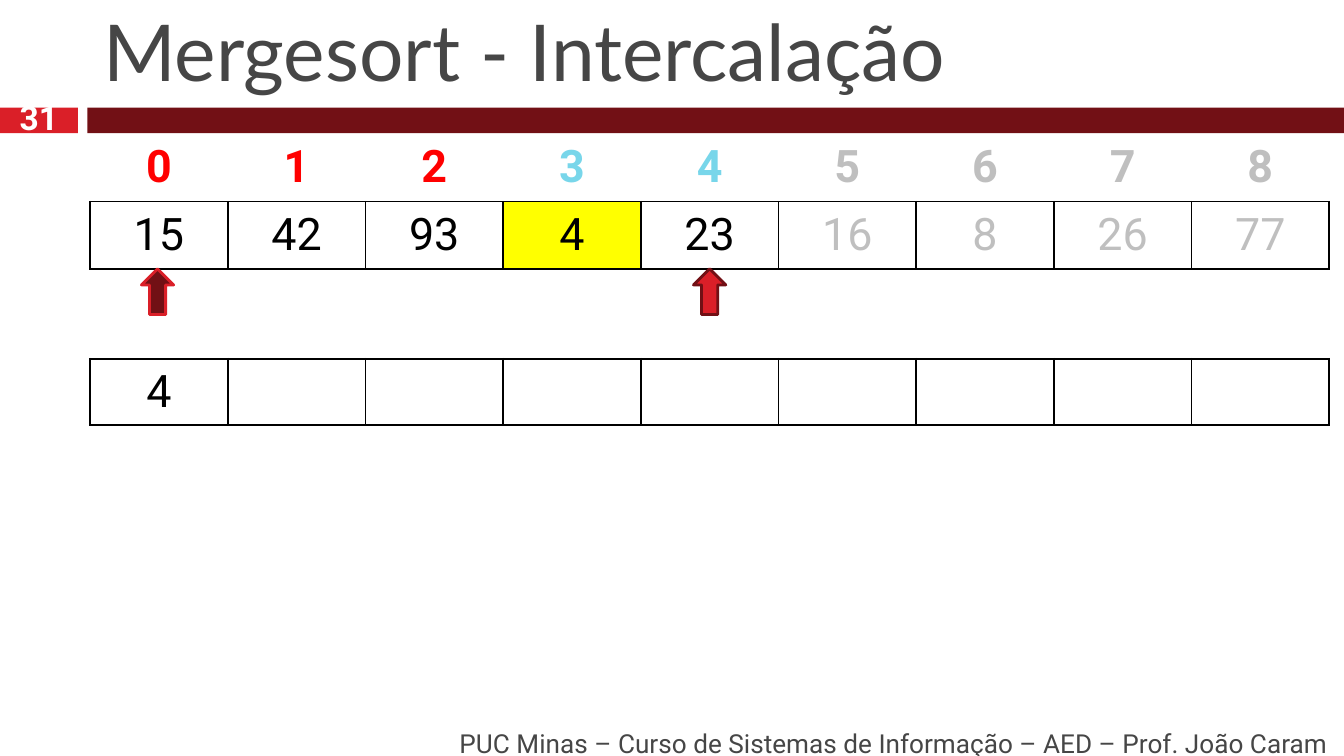
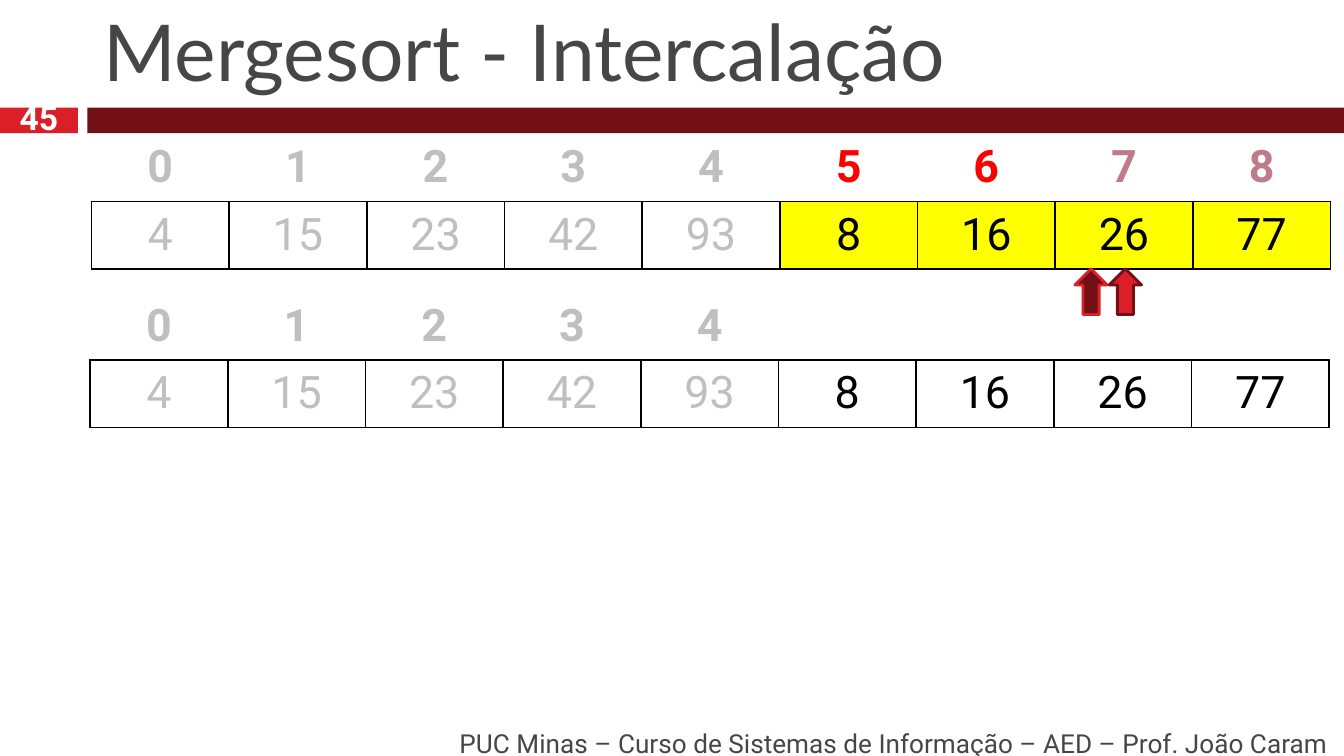
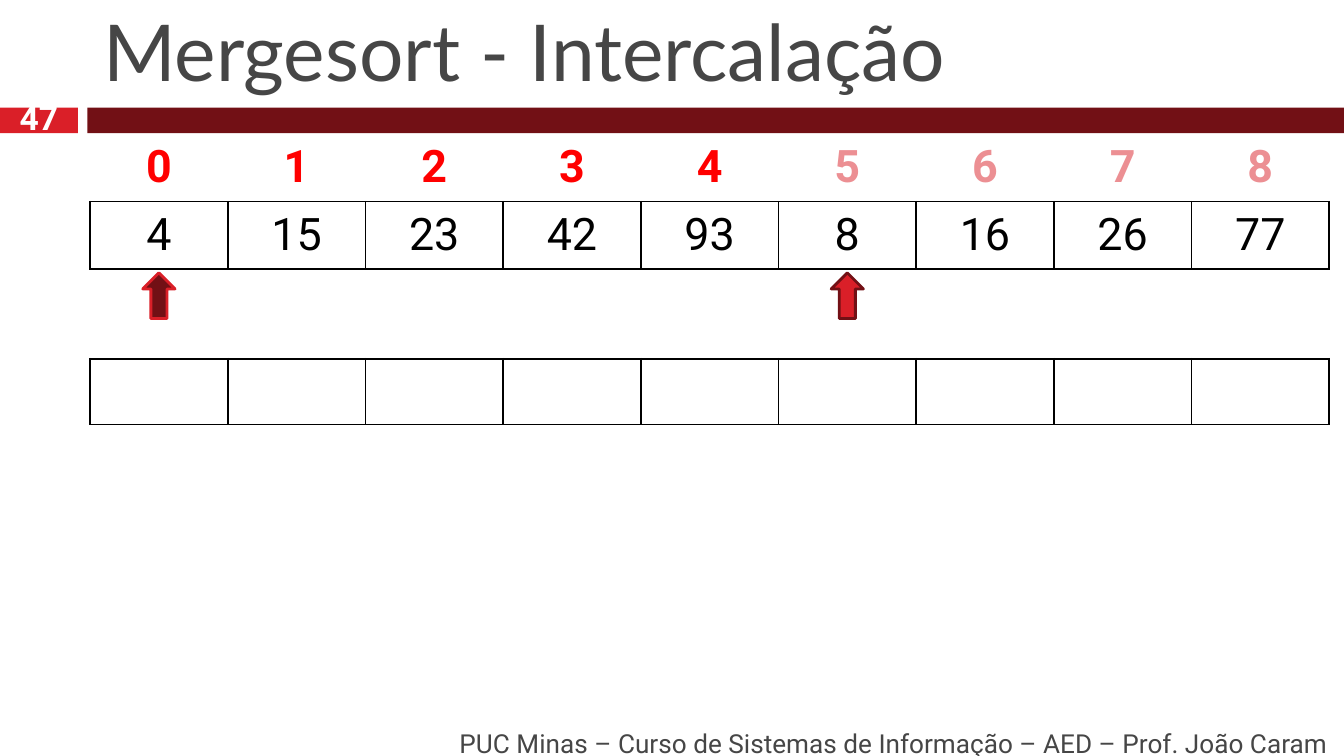
import pptx
import pptx.util
import pptx.dml.color
import pptx.enum.shapes
import pptx.enum.text
import pptx.oxml

RGBColor = pptx.dml.color.RGBColor
Inches = pptx.util.Inches
Pt = pptx.util.Pt
ALIGN = pptx.enum.text.PP_ALIGN
ANCHOR = pptx.enum.text.MSO_ANCHOR
SHAPE = pptx.enum.shapes.MSO_SHAPE

BLACK = RGBColor(0x00, 0x00, 0x00)
WHITE = RGBColor(0xFF, 0xFF, 0xFF)
DARK = RGBColor(0x46, 0x46, 0x46)
GREY = RGBColor(0xBF, 0xBF, 0xBF)
RED = RGBColor(0xFF, 0x00, 0x00)
CYAN = RGBColor(0x78, 0xD6, 0xEA)
MAUVE = RGBColor(0xC0, 0x7B, 0x8A)
PINK = RGBColor(0xEC, 0x8F, 0x93)
YELLOW = RGBColor(0xFF, 0xFF, 0x00)
CRIMSON = RGBColor(0xDA, 0x1F, 0x28)
MAROON = RGBColor(0x72, 0x10, 0x15)

NO_STYLE = "{2D5ABB26-0587-4C30-8999-92F81FD0307C}"
BORDER = (
    '<a:{} xmlns:a="http://schemas.openxmlformats.org/drawingml/2006/main" w="12700">'
    '<a:solidFill><a:srgbClr val="000000"/></a:solidFill></a:{}>'
)

N = 9
GRID_LEFT, GRID_WIDTH = 0.67, 9.22
COL = GRID_WIDTH / N
ROW = 0.49
UPPER, LOWER = 1, 2.18
ARROW_W, ARROW_H = 0.24, 0.34


def write(tf, text, size, color, align, font="Roboto", bold=False):
    p = tf.paragraphs[0]
    p.alignment = align
    r = p.add_run()
    r.text = text
    r.font.name = font
    r.font.size = Pt(size)
    r.font.bold = bold
    r.font.color.rgb = color


def add_array(s, left, top, indices, index_colors, values, value_colors, marked=()):
    frame = s.shapes.add_table(2, N, Inches(left), Inches(top), Inches(GRID_WIDTH), Inches(2 * ROW))
    table = frame.table
    table.first_row = table.horz_banding = False
    table._tbl.tblPr[0].text = NO_STYLE
    lines = [(indices, index_colors, ["lnB"]), (values, value_colors, ["lnL", "lnR", "lnT", "lnB"])]
    for row, (texts, colors, sides) in enumerate(lines):
        for col in range(N):
            cell = table.cell(row, col)
            for side in sides:
                cell._tc.get_or_add_tcPr().append(pptx.oxml.parse_xml(BORDER.format(side, side)))
            if row == 1 and col in marked:
                cell.fill.solid()
                cell.fill.fore_color.rgb = YELLOW
            else:
                cell.fill.background()
            if col < len(texts):
                write(cell.text_frame, str(texts[col]), 24, colors[col], ALIGN.CENTER, bold=row == 0)


steps = [
    {
        "number": "31",
        "upper": (GRID_LEFT, UPPER, range(N), [RED] * 3 + [CYAN] * 2 + [GREY] * 4,
                  [15, 42, 93, 4, 23, 16, 8, 26, 77], [BLACK] * 5 + [GREY] * 4, [3]),
        "lower": (GRID_LEFT, LOWER, [], [], [4], [BLACK]),
        "arrows": (0.49, 4.5),
        "arrow_top": 2,
    },
    {
        "number": "45",
        "upper": (GRID_LEFT + 0.01, UPPER, range(N), [GREY] * 5 + [RED] * 2 + [MAUVE] * 2,
                  [4, 15, 23, 42, 93, 8, 16, 26, 77], [GREY] * 5 + [BLACK] * 4, range(5, N)),
        "lower": (GRID_LEFT, LOWER, range(5), [GREY] * 5,
                  [4, 15, 23, 42, 93, 8, 16, 26, 77], [GREY] * 5 + [BLACK] * 4),
        "arrows": (7.27, 7.52),
        "arrow_top": 2,
    },
    {
        "number": "47",
        "upper": (GRID_LEFT, UPPER, range(N), [RED] * 5 + [PINK] * 4,
                  [4, 15, 23, 42, 93, 8, 16, 26, 77], [BLACK] * N),
        "lower": (GRID_LEFT, LOWER, [], [], [], []),
        "arrows": (0.5, 5.5),
        "arrow_top": 2.03,
    },
]

prs = pptx.Presentation()
prs.slide_width = Inches(10)
prs.slide_height = Inches(5.625)

for step in steps:
    s = prs.slides.add_slide(prs.slide_layouts[6])

    for left, width, color in [(0, 0.58, CRIMSON), (0.65, 9.35, MAROON)]:
        band = s.shapes.add_shape(SHAPE.RECTANGLE, Inches(left), Inches(0.8), Inches(width), Inches(0.19))
        band.shadow.inherit = False
        band.fill.solid()
        band.fill.fore_color.rgb = color
        band.line.fill.background()

    add_array(s, *step["lower"])

    labels = [
        ((GRID_LEFT, 0.13, GRID_WIDTH, 0.64), ANCHOR.BOTTOM,
         ("Mergesort - Intercalação", 42, DARK, ALIGN.LEFT, "Lato")),
        ((1.06, 5.38, 8.92, 0.3), ANCHOR.MIDDLE,
         ("PUC Minas – Curso de Sistemas de Informação – AED – Prof. João Caram", 14, DARK, ALIGN.RIGHT)),
        ((0, 0.77, 0.58, 0.2), ANCHOR.MIDDLE,
         (step["number"], 18, WHITE, ALIGN.CENTER, "Roboto", True)),
    ]
    for box, anchor, label in labels:
        tf = s.shapes.add_textbox(*map(Inches, box)).text_frame
        tf.word_wrap = True
        tf.vertical_anchor = anchor
        write(tf, *label)

    add_array(s, *step["upper"])

    for col, fill, line in zip(step["arrows"], (MAROON, CRIMSON), (CRIMSON, MAROON)):
        arrow = s.shapes.add_shape(
            SHAPE.DOWN_ARROW, Inches(GRID_LEFT + col * COL - ARROW_W / 2),
            Inches(step["arrow_top"]), Inches(ARROW_W), Inches(ARROW_H))
        arrow.rotation = 180
        arrow.shadow.inherit = False
        arrow.fill.solid()
        arrow.fill.fore_color.rgb = fill
        arrow.line.color.rgb = line
        arrow.line.width = Pt(1.5)

prs.save("out.pptx")
